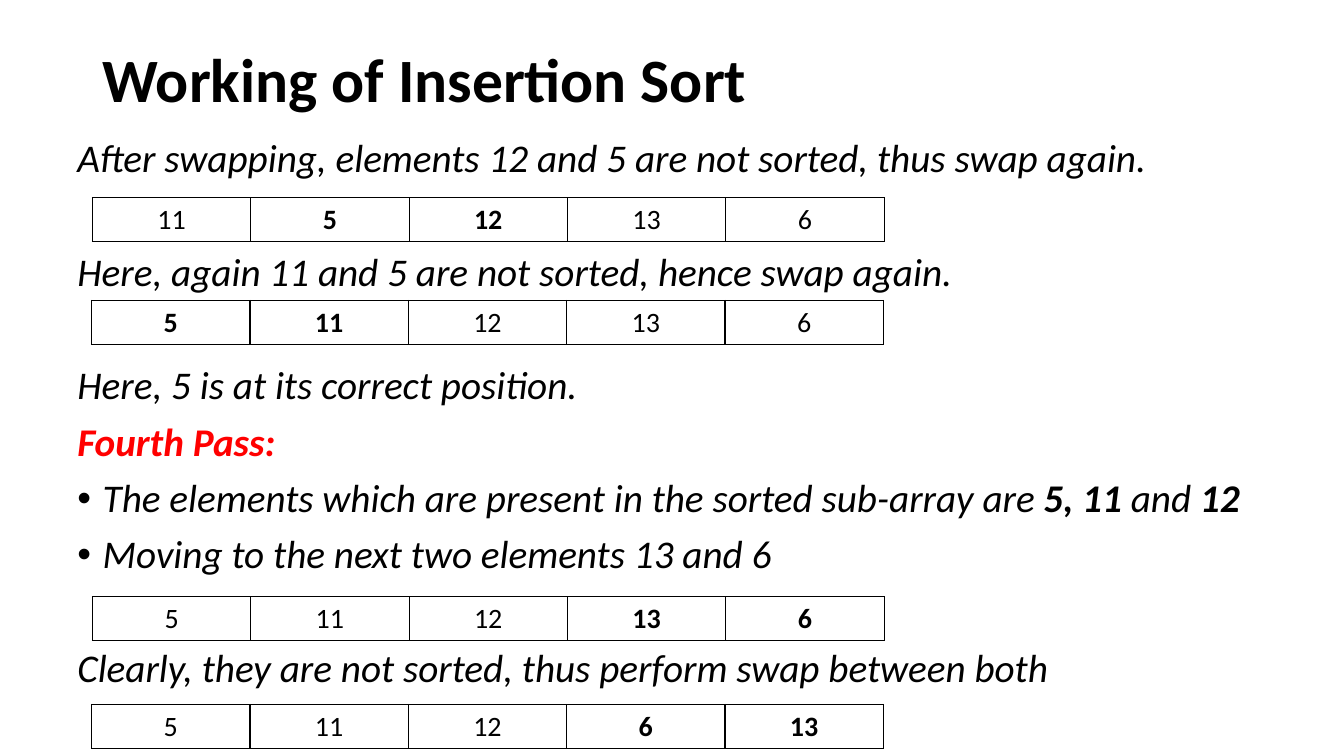
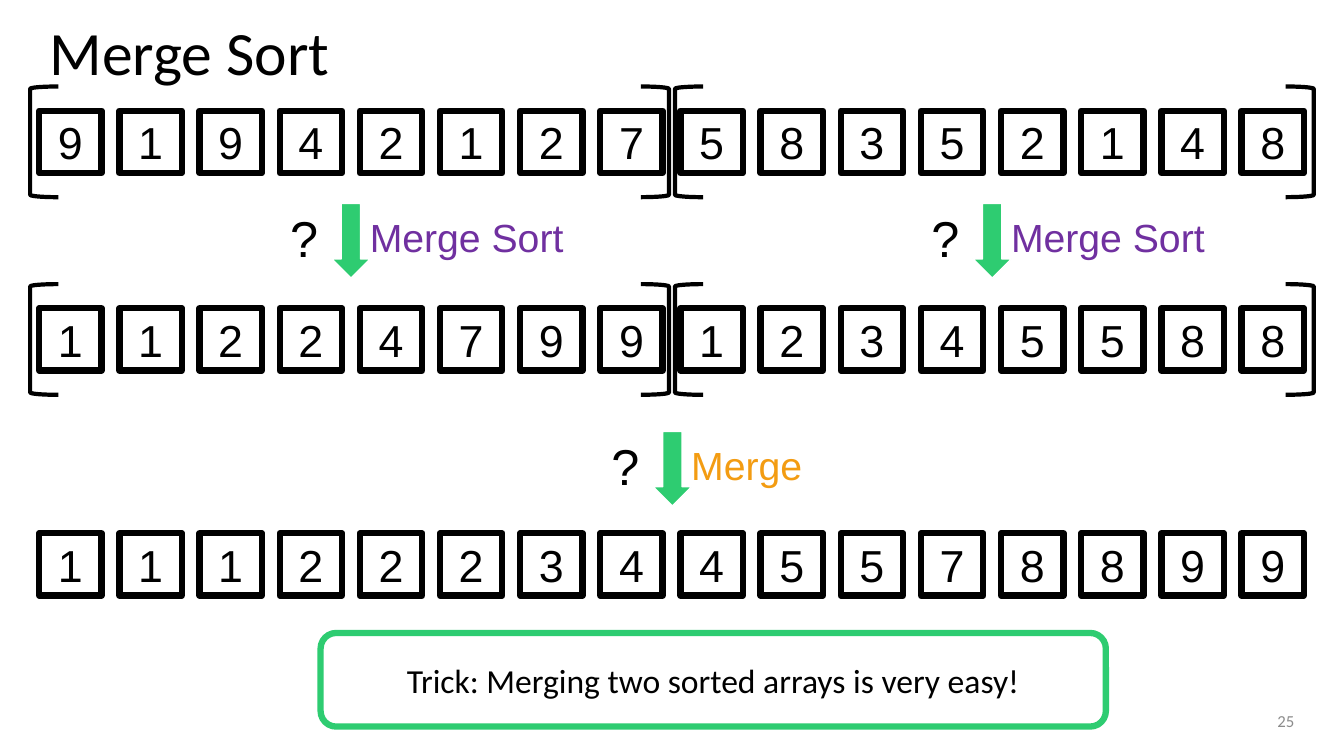
from dataclasses import dataclass

from lxml import etree
from pptx import Presentation
from pptx.dml.color import RGBColor
from pptx.enum.shapes import MSO_SHAPE
from pptx.enum.text import MSO_ANCHOR, MSO_AUTO_SIZE, PP_ALIGN
from pptx.oxml.ns import qn
from pptx.shapes.autoshape import Shape
from pptx.slide import Slide
from pptx.text.text import TextFrame, _Paragraph
from pptx.util import Cm, Pt

LEFT, CENTER, RIGHT = PP_ALIGN.LEFT, PP_ALIGN.CENTER, PP_ALIGN.RIGHT
TOP, MIDDLE = MSO_ANCHOR.TOP, MSO_ANCHOR.MIDDLE
RECTANGLE, ROUNDED = MSO_SHAPE.RECTANGLE, MSO_SHAPE.ROUNDED_RECTANGLE
DOWN_ARROW = MSO_SHAPE.DOWN_ARROW
LEFT_BRACKET, RIGHT_BRACKET = MSO_SHAPE.LEFT_BRACKET, MSO_SHAPE.RIGHT_BRACKET
NO_AUTOFIT = MSO_AUTO_SIZE.NONE

BLACK, WHITE, RED, GRAY = "000000", "FFFFFF", "FF0000", "8C8C8C"
GREEN, PURPLE, ORANGE = "2ECC71", "7030A0", "F39C12"
HEADING_FONT, DIAGRAM_FONT = "Calibri", "Arial"
TITLE_ONLY = 5
LINE_SPACING = 0.9

# Insertion sort: paragraph gaps in points, table sizes in centimetres
GAP, TABLE_GAP = 10, 50.8
COLUMN_WIDTH, ROW_HEIGHT = 3.99, 1.04

# Merge sort: sizes in centimetres
CELL_LEFT, CELL_PITCH, CELL_SIZE = 0.99, 2.02, 1.57
HALF_COUNT = 8
HALF_PITCH = HALF_COUNT * CELL_PITCH
BRACKET_PITCH, BRACKET_WIDTH, BRACKET_HEIGHT = 16.25, 0.71, 2.79
BRACKET_RISE = 0.61


@dataclass(frozen=True)
class Box:
    """A rectangle in centimetres."""
    left: float
    top: float
    width: float
    height: float

    def lengths(self) -> tuple[Cm, Cm, Cm, Cm]:
        return Cm(self.left), Cm(self.top), Cm(self.width), Cm(self.height)


@dataclass(frozen=True)
class Style:
    size: float
    font: str = HEADING_FONT
    color: str = BLACK
    bold: bool = False
    italic: bool = False


@dataclass(frozen=True)
class BodyLine:
    runs: tuple[tuple[str, Style], ...]
    space_before: float = GAP
    bullet: bool = False


@dataclass(frozen=True)
class ArrayTable:
    left: float
    top: float
    values: tuple[int, ...]
    bold_columns: tuple[int, int]


@dataclass(frozen=True)
class ArrayRow:
    top: float
    digits: str
    bracketed: bool


@dataclass(frozen=True)
class Step:
    left: float
    top: float
    label: str
    color: str


BODY = Style(28, italic=True)
BODY_BOLD = Style(28, italic=True, bold=True)
PASS_HEADING = Style(28, color=RED, italic=True, bold=True)
DIGIT = Style(32, DIAGRAM_FONT)

BODY_LINES = (
    BodyLine((("After swapping, elements 12 and 5 are not sorted, thus swap again.", BODY),)),
    BodyLine((("Here, again 11 and 5 are not sorted, hence swap again.", BODY),), TABLE_GAP),
    BodyLine((("Here, 5 is at its correct position.", BODY),), TABLE_GAP),
    BodyLine((("Fourth Pass:", PASS_HEADING),)),
    BodyLine((("The elements which are present in the sorted sub-array are ", BODY),
              ("5, 11 ", BODY_BOLD), ("and ", BODY), ("12", BODY_BOLD)), bullet=True),
    BodyLine((("Moving to the next two elements 13 and 6", BODY),), bullet=True),
    BodyLine((("Clearly, they are not sorted, thus perform swap between both", BODY),), TABLE_GAP),
)
ARRAY_TABLES = (
    ArrayTable(2.33, 4.98, (11, 5, 12, 13, 6), (1, 2)),
    ArrayTable(2.31, 7.57, (5, 11, 12, 13, 6), (0, 1)),
    ArrayTable(2.33, 15.04, (5, 11, 12, 13, 6), (3, 4)),
    ArrayTable(2.31, 17.75, (5, 11, 12, 6, 13), (3, 4)),
)
ARRAY_ROWS = (
    ArrayRow(2.79, "9194212758352148", True),
    ArrayRow(7.77, "1122479912345588", True),
    ArrayRow(13.44, "1112223445578899", False),
)
STEPS = (
    Step(8.36, 5.13, "Merge Sort", PURPLE),
    Step(8.36 + HALF_PITCH, 5.13, "Merge Sort", PURPLE),
    Step(16.46, 10.87, "Merge", ORANGE),
)


def rgb(color: str) -> RGBColor:
    return RGBColor.from_string(color)


def add_run(paragraph: _Paragraph, text: str, style: Style) -> None:
    run = paragraph.add_run()
    run.text = text
    font = run.font
    font.name, font.size = style.font, Pt(style.size)
    font.bold, font.italic = style.bold, style.italic
    font.color.rgb = rgb(style.color)


def write_line(frame: TextFrame, text: str, style: Style,
               align: PP_ALIGN, anchor: MSO_ANCHOR) -> _Paragraph:
    frame.word_wrap = True
    frame.auto_size = NO_AUTOFIT
    frame.vertical_anchor = anchor
    paragraph = frame.paragraphs[0]
    paragraph.alignment = align
    add_run(paragraph, text, style)
    return paragraph


def add_titled_slide(presentation: Presentation, text: str, box: Box, style: Style) -> Slide:
    slide = presentation.slides.add_slide(presentation.slide_layouts[TITLE_ONLY])
    title = slide.shapes.title
    title.left, title.top, title.width, title.height = box.lengths()
    paragraph = write_line(title.text_frame, text, style, LEFT, MIDDLE)
    paragraph.line_spacing = LINE_SPACING
    return slide


def add_label(slide: Slide, box: Box, text: str, style: Style,
              align: PP_ALIGN = LEFT, anchor: MSO_ANCHOR = TOP) -> None:
    text_box = slide.shapes.add_textbox(*box.lengths())
    write_line(text_box.text_frame, text, style, align, anchor)


def add_outlined_shape(slide: Slide, kind: MSO_SHAPE, box: Box, line_color: str,
                       line_width: float, fill: str | None = None) -> Shape:
    shape = slide.shapes.add_shape(kind, *box.lengths())
    shape.shadow.inherit = False
    if fill is None:
        shape.fill.background()
    else:
        shape.fill.solid()
        shape.fill.fore_color.rgb = rgb(fill)
    shape.line.color.rgb = rgb(line_color)
    shape.line.width = Pt(line_width)
    return shape


def add_bullet(paragraph: _Paragraph) -> None:
    properties = paragraph._p.get_or_add_pPr()
    indent = Cm(0.64)
    properties.set("marL", str(indent))
    properties.set("indent", str(-indent))
    etree.SubElement(properties, qn("a:buFont"), typeface="Arial")
    etree.SubElement(properties, qn("a:buChar"), char="•")


def add_body(slide: Slide, box: Box) -> None:
    frame = slide.shapes.add_textbox(*box.lengths()).text_frame
    frame.word_wrap = True
    for index, line in enumerate(BODY_LINES):
        paragraph = frame.add_paragraph() if index else frame.paragraphs[0]
        paragraph.line_spacing = LINE_SPACING
        paragraph.space_before = Pt(line.space_before)
        if line.bullet:
            add_bullet(paragraph)
        for text, style in line.runs:
            add_run(paragraph, text, style)


def add_array_table(slide: Slide, array: ArrayTable) -> None:
    count = len(array.values)
    box = Box(array.left, array.top, count * COLUMN_WIDTH, ROW_HEIGHT)
    table = slide.shapes.add_table(1, count, *box.lengths()).table
    table.first_row = table.horz_banding = False
    for column, value in enumerate(array.values):
        table.columns[column].width = Cm(COLUMN_WIDTH)
        cell = table.cell(0, column)
        properties = cell._tc.get_or_add_tcPr()
        for side in ("a:lnL", "a:lnR", "a:lnT", "a:lnB"):
            border = etree.SubElement(properties, qn(side), w=str(Pt(1)))
            color_fill = etree.SubElement(border, qn("a:solidFill"))
            etree.SubElement(color_fill, qn("a:srgbClr"), val=BLACK)
        cell.fill.background()
        paragraph = cell.text_frame.paragraphs[0]
        paragraph.alignment = CENTER
        add_run(paragraph, str(value), Style(20, bold=column in array.bold_columns))


def add_array_row(slide: Slide, row: ArrayRow) -> None:
    for index, digit in enumerate(row.digits):
        box = Box(CELL_LEFT + index * CELL_PITCH, row.top, CELL_SIZE, CELL_SIZE)
        cell = add_outlined_shape(slide, RECTANGLE, box, BLACK, 4.5, WHITE)
        write_line(cell.text_frame, digit, DIGIT, CENTER, MIDDLE)
    if not row.bracketed:
        return
    for half in range(2):
        for kind, left in ((LEFT_BRACKET, 0.76), (RIGHT_BRACKET, 16.15)):
            box = Box(left + half * BRACKET_PITCH, row.top - BRACKET_RISE,
                      BRACKET_WIDTH, BRACKET_HEIGHT)
            add_outlined_shape(slide, kind, box, BLACK, 3)


def add_step(slide: Slide, step: Step) -> None:
    """Draw a down arrow with a question mark before it and a label after it."""
    arrow = Box(step.left, step.top, 0.97, 1.88)
    add_outlined_shape(slide, DOWN_ARROW, arrow, WHITE, 1, GREEN)
    add_label(slide, Box(step.left - 1.3, step.top - 0.03, 2.03, 1.8), "?",
              Style(36, DIAGRAM_FONT))
    add_label(slide, Box(step.left + 0.71, step.top + 0.13, 6.15, 1.45), step.label,
              Style(28, DIAGRAM_FONT, step.color))


def build_insertion_sort(presentation: Presentation) -> None:
    slide = add_titled_slide(presentation, "Working of Insertion Sort",
                             Box(2.33, 1.02, 29.21, 2.11), Style(44, bold=True))
    add_body(slide, Box(1.7, 3.38, 30.81, 15.67))
    for array in ARRAY_TABLES:
        add_array_table(slide, array)


def build_merge_sort(presentation: Presentation) -> None:
    slide = add_titled_slide(presentation, "Merge Sort", Box(0.99, 0, 31.88, 2.79), Style(44))
    add_label(slide, Box(31.55, 17.65, 1.32, 1.02), "25", Style(12, color=GRAY), RIGHT, MIDDLE)
    for row in ARRAY_ROWS:
        add_array_row(slide, row)
    for step in STEPS:
        add_step(slide, step)
    trick = add_outlined_shape(slide, ROUNDED, Box(8.08, 15.95, 19.79, 2.36), GREEN, 4.5, WHITE)
    write_line(trick.text_frame, "Trick: Merging two sorted arrays is very easy!",
               Style(24), CENTER, MIDDLE)


def main() -> None:
    presentation = Presentation()
    presentation.slide_width, presentation.slide_height = Cm(33.87), Cm(19.05)
    build_insertion_sort(presentation)
    build_merge_sort(presentation)
    presentation.save("out.pptx")


if __name__ == "__main__":
    main()
